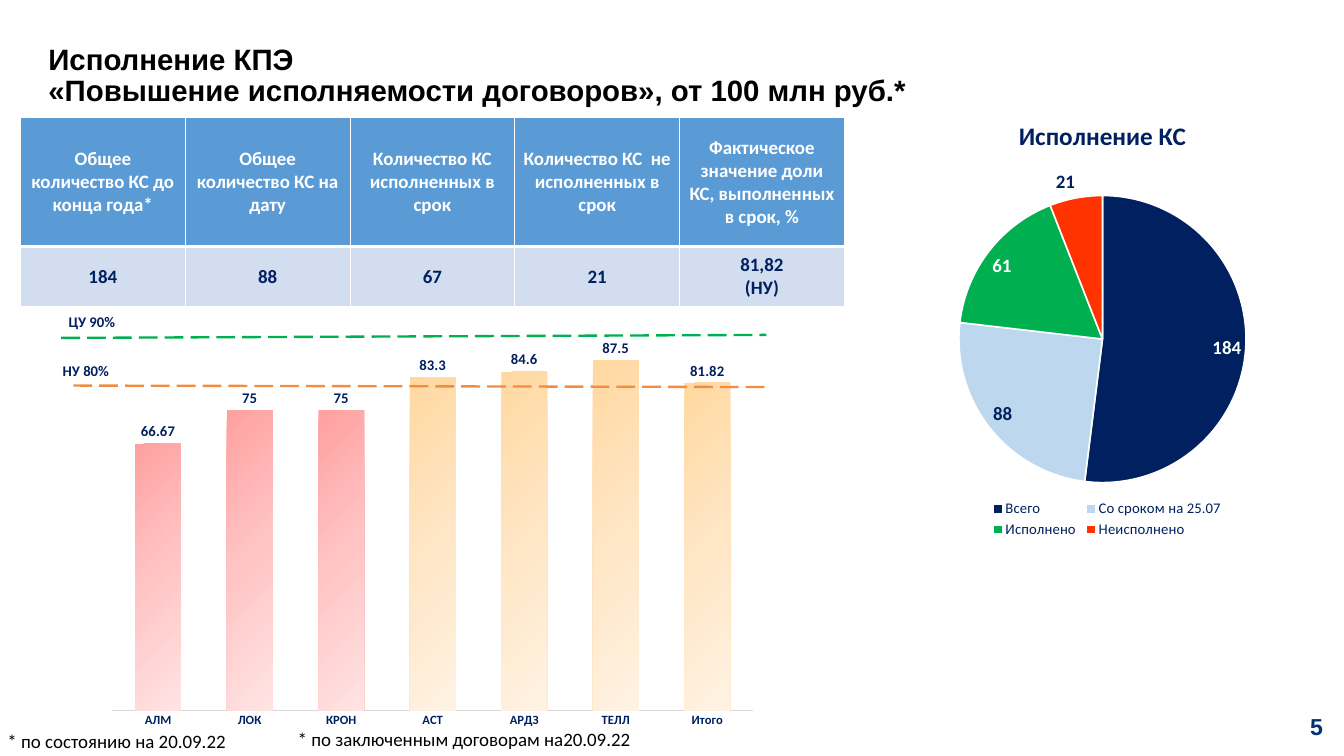
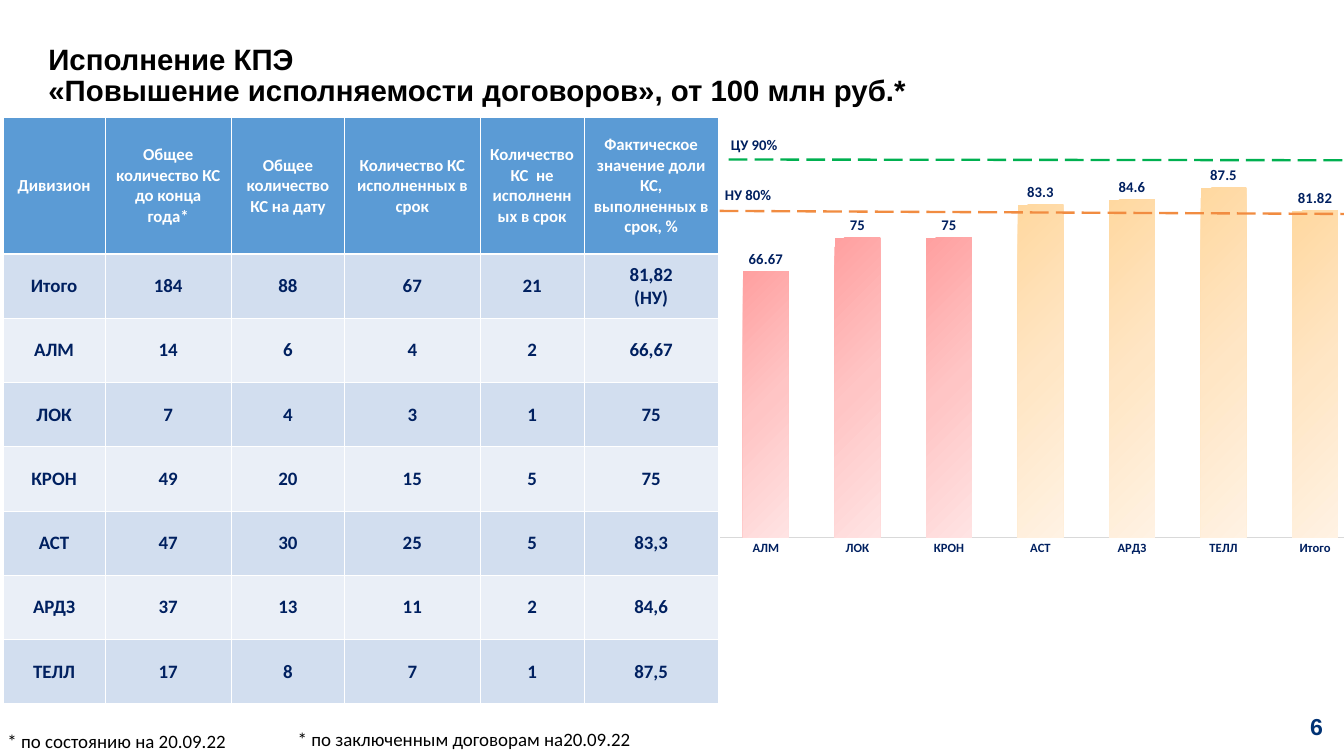
from lxml import etree
from pptx import Presentation
from pptx import util as u
from pptx.chart.data import CategoryChartData
from pptx.dml.color import RGBColor
from pptx.enum import chart as ch, dml, shapes, text
from pptx.oxml import parse_xml
from pptx.oxml.ns import nsdecls, qn

PX = 9144  # 100 px to the inch
WIDTH, HEIGHT = 1778, 1000

BLACK = RGBColor(0x00, 0x00, 0x00)
WHITE = RGBColor(0xFF, 0xFF, 0xFF)
NAVY = RGBColor(0x00, 0x20, 0x60)
PAGE_BLUE = RGBColor(0x00, 0x32, 0x74)
HEADER_BLUE = RGBColor(0x5B, 0x9B, 0xD5)
BAND_DARK = RGBColor(0xD2, 0xDE, 0xEF)
BAND_LIGHT = RGBColor(0xEA, 0xEF, 0xF7)
PALE_BLUE = RGBColor(0xBD, 0xD7, 0xEE)
GREEN = RGBColor(0x00, 0xB0, 0x50)
RED = RGBColor(0xFF, 0x33, 0x00)
ORANGE = RGBColor(0xF1, 0x8C, 0x41)
AXIS_GREY = RGBColor(0xD9, 0xD9, 0xD9)
RED_FADE = [RGBColor(0xFF, 0xA0, 0xA0), RGBColor(0xFF, 0xC5, 0xC5), RGBColor(0xFF, 0xE3, 0xE3)]
AMBER_FADE = [RGBColor(0xFF, 0xD8, 0xA0), RGBColor(0xFF, 0xE6, 0xC5), RGBColor(0xFF, 0xF2, 0xE3)]

TITLE = ["Исполнение КПЭ", "«Повышение исполняемости договоров», от 100 млн руб.*"]
HEADERS = ["Общее количество КС до конца года*", "Общее количество КС на дату",
           "Количество КС исполненных в срок", "Количество КС  не исполненных в срок",
           "Фактическое значение доли КС, выполненных в срок, %"]
TOTALS = ["184", "88", "67", "21", "81,82\n(НУ)"]
DIVISIONS = [
    ["АЛМ", "14", "6", "4", "2", "66,67"],
    ["ЛОК", "7", "4", "3", "1", "75"],
    ["КРОН", "49", "20", "15", "5", "75"],
    ["АСТ", "47", "30", "25", "5", "83,3"],
    ["АРДЗ", "37", "13", "11", "2", "84,6"],
    ["ТЕЛЛ", "17", "8", "7", "1", "87,5"],
]
SHARES = [66.67, 75, 75, 83.3, 84.6, 87.5, 81.82]
LOWER_TARGET = 80


def px(*lengths):
    return [u.Emu(n * PX) for n in lengths]


def set_font(font, size, color, bold=True, name="Calibri"):
    font.size, font.bold, font.name = u.Pt(size), bold, name
    font.color.rgb = color


def place(parent, index, x, y, w, h, inner=False):
    """Give a plot area or legend a fixed place, as fractions of the chart."""
    for old in parent.findall(qn("c:layout")):
        parent.remove(old)
    layout = etree.Element(qn("c:layout"))
    manual = etree.SubElement(layout, qn("c:manualLayout"))
    settings = [("layoutTarget", "inner")] if inner else []
    settings += [("xMode", "edge"), ("yMode", "edge"), ("x", x), ("y", y), ("w", w), ("h", h)]
    for tag, value in settings:
        etree.SubElement(manual, qn(f"c:{tag}")).set("val", str(value))
    parent.insert(index, layout)


def fade(point, colors):
    """Fill a bar with evenly spaced stops from top left to bottom right."""
    fill = point.format.fill
    fill.gradient()
    fill.gradient_angle = 315
    stops = point.format.element.find(f".//{qn('a:gsLst')}")
    for old in list(stops):
        stops.remove(old)
    for i, color in enumerate(colors):
        stop = etree.SubElement(stops, qn("a:gs"), pos=str(i * 50000))
        etree.SubElement(stop, qn("a:srgbClr"), val=str(color))


def set_borders(cell, top, bottom):
    tc_pr = cell._tc.get_or_add_tcPr()
    for i, (side, points) in enumerate([("L", 1), ("R", 1), ("T", top), ("B", bottom)]):
        tc_pr.insert(i, parse_xml(
            f'<a:ln{side} {nsdecls("a")} w="{points * 12700}"><a:solidFill>'
            f'<a:srgbClr val="{WHITE}"/></a:solidFill></a:ln{side}>'))


class Deck:
    def __init__(self):
        self.prs = Presentation()
        self.prs.slide_width, self.prs.slide_height = px(WIDTH, HEIGHT)
        self.s = None

    def add_lines(self, tf, lines, size, color, bold=True, name="Calibri", align=None, spacing=None):
        for i, line in enumerate(lines):
            p = tf.paragraphs[0] if i == 0 else tf.add_paragraph()
            p.alignment, p.line_spacing = align, spacing
            r = p.add_run()
            r.text = line
            set_font(r.font, size, color, bold, name)

    def new_slide(self, number):
        """Start a slide with the shared title, page number and footnotes."""
        self.s = self.prs.slides.add_slide(self.prs.slide_layouts[5])
        sp = self.s.shapes.title
        sp.left, sp.top, sp.width, sp.height = px(54, 69, 1284, 64)
        tf = sp.text_frame
        tf.auto_size, tf.word_wrap = text.MSO_AUTO_SIZE.NONE, True
        tf.vertical_anchor = text.MSO_ANCHOR.MIDDLE
        self.add_lines(tf, TITLE, 28, BLACK, name="Arial", align=text.PP_ALIGN.LEFT, spacing=0.9)

        tf = self.s.shapes.add_textbox(*px(1628, 933, 122, 55)).text_frame
        tf.margin_left = tf.margin_right = tf.margin_top = tf.margin_bottom = 0
        tf.vertical_anchor = text.MSO_ANCHOR.MIDDLE
        tf.word_wrap = True
        self.add_lines(tf, [str(number)], 22, PAGE_BLUE, name="Arial", align=text.PP_ALIGN.RIGHT)

        self.label("* по состоянию на 20.09.22", (0, 960, 312, 40), 18, BLACK, False, False)
        self.label("* по заключенным договорам на20.09.22", (384, 958, 471, 40), 18, BLACK, False, False)

    def label(self, words, box, size=14, color=NAVY, bold=True, wrap=True):
        tf = self.s.shapes.add_textbox(*px(*box)).text_frame
        tf.word_wrap, tf.auto_size = wrap, text.MSO_AUTO_SIZE.SHAPE_TO_FIT_TEXT
        self.add_lines(tf, [words], size, color, bold)

    def table(self, left, top, cols, heights, rows, header_size):
        frame = self.s.shapes.add_table(
            len(rows), len(cols), *px(left, top, sum(cols), sum(heights)))
        grid = frame.table
        for column, width in zip(grid.columns, px(*cols)):
            column.width = width
        for row, height in zip(grid.rows, px(*heights)):
            row.height = height
        for i, row in enumerate(rows):
            header = i == 0
            band = HEADER_BLUE if header else BAND_DARK if i % 2 else BAND_LIGHT
            for j, words in enumerate(row):
                cell = grid.cell(i, j)
                cell.vertical_anchor = text.MSO_ANCHOR.MIDDLE
                cell.fill.solid()
                cell.fill.fore_color.rgb = band
                set_borders(cell, top=3 if i == 1 else 1, bottom=3 if header else 1)
                self.add_lines(cell.text_frame, words.split("\n"), header_size if header else 18,
                               WHITE if header else NAVY, align=text.PP_ALIGN.CENTER)

    def chart(self, kind, box, cats, name, values):
        data = CategoryChartData()
        data.categories = cats
        data.add_series(name, values)
        chart = self.s.shapes.add_chart(kind, *px(*box), data).chart
        set_font(chart.font, 10, BLACK, False)
        return chart

    def value_labels(self, plot, size, color, position):
        plot.has_data_labels = True
        labels = plot.data_labels
        labels.show_value, labels.show_percentage = True, False
        labels.position = position
        set_font(labels.font, size, color)

    def share_bars(self, left, top):
        chart = self.chart(ch.XL_CHART_TYPE.COLUMN_CLUSTERED, (left, top, 883, 575),
                           [d[0] for d in DIVISIONS] + ["Итого"], "Series 1", SHARES)
        chart.has_legend = chart.has_title = False
        plot = chart.plots[0]
        plot.gap_width, plot.overlap, plot.vary_by_categories = 100, 36, False
        self.value_labels(plot, 14, NAVY, ch.XL_LABEL_POSITION.OUTSIDE_END)
        bars = plot.series[0]
        bars.format.fill.solid()
        bars.format.fill.fore_color.rgb = HEADER_BLUE
        for i, share in enumerate(SHARES):
            fade(bars.points[i], RED_FADE if share < LOWER_TARGET else AMBER_FADE)
        axis = chart.value_axis
        axis.minimum_scale, axis.maximum_scale = 0, 100
        axis.has_major_gridlines = axis.visible = False
        axis = chart.category_axis
        axis.major_tick_mark = axis.minor_tick_mark = ch.XL_TICK_MARK.NONE
        set_font(axis.tick_labels.font, 12, NAVY)
        axis.format.line.color.rgb = AXIS_GREY
        axis.format.line.width = u.Pt(0.75)
        place(chart.element.find(f".//{qn('c:plotArea')}"), 0, 0.02, 0.02, 0.96, 0.92, True)

    def contract_pie(self, box):
        chart = self.chart(ch.XL_CHART_TYPE.PIE, box,
                           ["Всего", "Со сроком на 25.07", "Исполнено", "Неисполнено"],
                           "Исполнение КС", [184, 88, 61, 21])
        chart.has_title = True
        self.add_lines(chart.chart_title.text_frame, ["Исполнение КС"], 24, NAVY)
        chart.has_legend = True
        chart.legend.position = ch.XL_LEGEND_POSITION.BOTTOM
        chart.legend.include_in_layout = False
        set_font(chart.legend.font, 14, NAVY, False)
        plot = chart.plots[0]
        plot.vary_by_categories = True
        self.value_labels(plot, 18, WHITE, ch.XL_LABEL_POSITION.INSIDE_END)
        points = plot.series[0].points
        for i, color in enumerate([NAVY, PALE_BLUE, GREEN, RED]):
            wedge = points[i].format
            wedge.fill.solid()
            wedge.fill.fore_color.rgb = color
            wedge.line.color.rgb = WHITE
            wedge.line.width = u.Pt(1.5)
        for i, position in [(1, ch.XL_LABEL_POSITION.INSIDE_END), (3, ch.XL_LABEL_POSITION.OUTSIDE_END)]:
            set_font(points[i].data_label.font, 18, NAVY)
            points[i].data_label.position = position
        # Labels made for single points start a series-level set, which needs the style too.
        labels = plot.series[0].data_labels
        labels.show_value = True
        labels.position = ch.XL_LABEL_POSITION.INSIDE_END
        set_font(labels.font, 18, WHITE)
        place(chart.element.find(f".//{qn('c:plotArea')}"), 0, 0.2, 0.21, 0.6, 0.65, True)
        place(chart.element.find(f".//{qn('c:legend')}"), 1, 0.26, 0.89, 0.5, 0.1)

    def target_line(self, start, end, color):
        line = self.s.shapes.add_connector(shapes.MSO_CONNECTOR.STRAIGHT, *px(*start, *end))
        line.line.color.rgb = color
        line.line.width = u.Pt(2.25)
        line.line.dash_style = dml.MSO_LINE.LONG_DASH
        etree.SubElement(line.element.find(qn("p:spPr")), qn("a:effectLst"))


def main():
    deck = Deck()

    deck.new_slide(5)
    deck.table(27, 156, [218] * 5, [170, 80], [HEADERS, TOTALS], 18)
    deck.contract_pie((1142, 134, 633, 588))
    deck.label("ЦУ 90%", (81, 409, 92, 34))
    deck.label("НУ 80%", (73, 474, 92, 34))
    deck.share_bars(131, 399)
    deck.target_line((97, 510), (1014, 512), ORANGE)
    deck.target_line((81, 447), (1014, 443), GREEN)

    deck.new_slide(6)
    deck.table(4, 156, [135, 167, 150, 179, 138, 177], [180] + [85] * 7,
               [["Дивизион"] + HEADERS, ["Итого"] + TOTALS] + DIVISIONS, 16)
    deck.label("ЦУ 90%", (957, 175, 92, 34))
    deck.label("НУ 80%", (949, 241, 92, 34))
    deck.share_bars(935, 171)
    deck.target_line((952, 279), (WIDTH, 283), ORANGE)
    deck.target_line((964, 211), (WIDTH, 212), GREEN)

    deck.prs.save("out.pptx")


if __name__ == "__main__":
    main()
